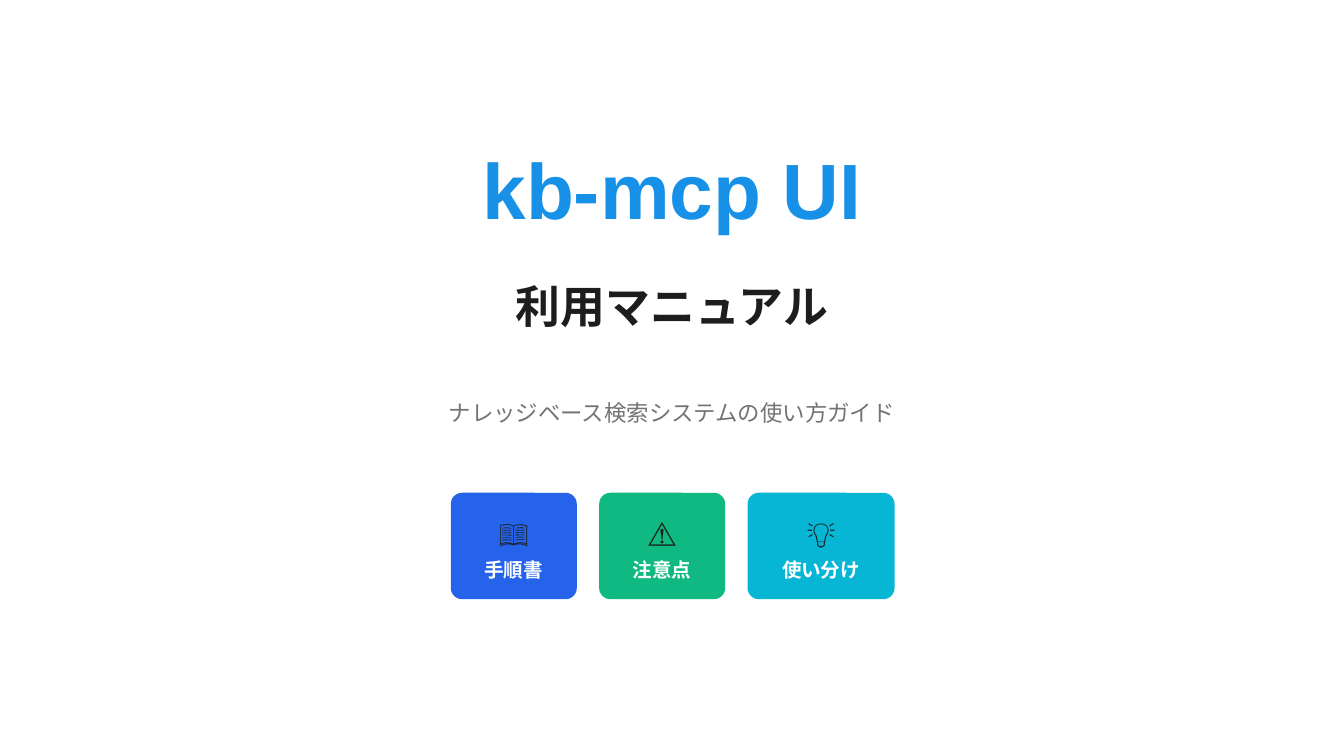
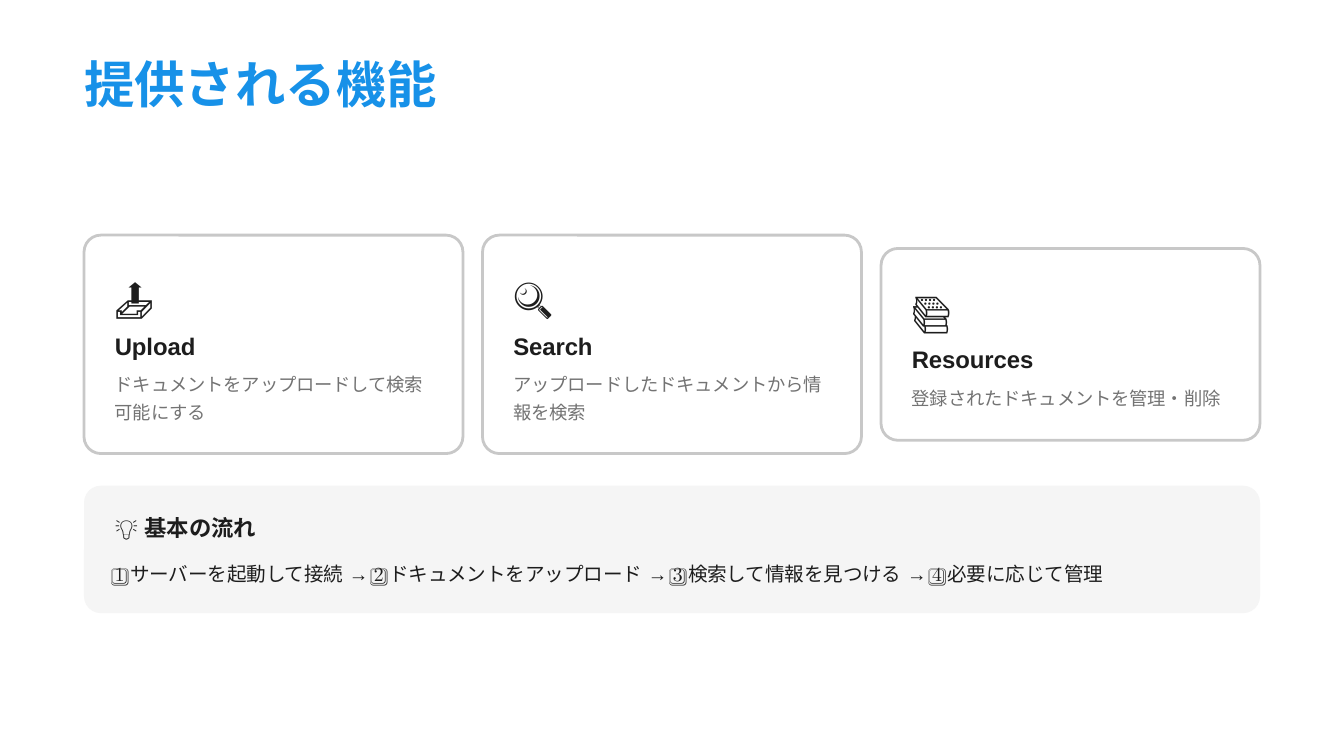
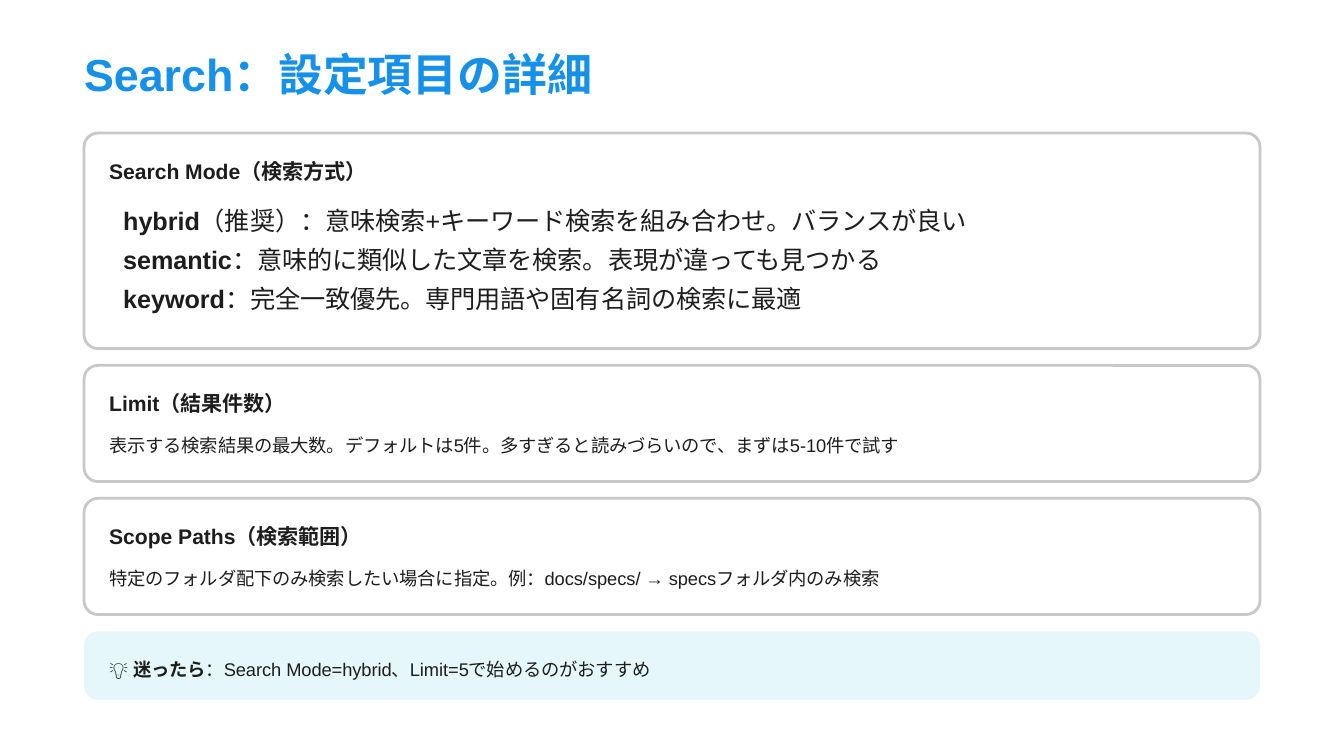
import pptx
import pptx.util
import pptx.dml.color
import pptx.enum.shapes
import pptx.enum.text
import pptx.oxml.ns
import lxml.etree

COLORS = {
    "title": "1791E8", "ink": "1D1D1D", "muted": "737373", "white": "FFFFFF",
    "border": "C8C8C8", "panel": "F5F5F5",
    "blue": "2563EB", "green": "10B981", "cyan": "06B6D4",
}
FONT = "Arial"
PX = 9525
LEFT, CONTENT_W = 60, 840

STYLES = {
    "cover": dict(size=42, line=42, color="title", bold=True, center=True),
    "subtitle": dict(size=24, line=31.2, bold=True, center=True),
    "caption": dict(size=12, line=16.8, before=12, color="muted", center=True),
    "badge_icon": dict(size=15, line=21, center=True),
    "badge_label": dict(size=10.5, line=14.7, color="white", bold=True, center=True),
    "title": dict(size=27, line=27, after=18, color="title", bold=True),
    "small_title": dict(size=24, line=24, after=13.5, color="title", bold=True),
    "card_icon": dict(size=21, line=29.4, after=6),
    "card_name": dict(size=12.75, line=15.3, after=4.5, bold=True),
    "card_text": dict(size=9.75, line=14.6, color="muted"),
    "flow_title": dict(size=12, line=14.4, after=7.5, bold=True),
    "flow": dict(size=10.5, line=16.8),
    "setting_name": dict(size=11.25, line=13.5, after=6, bold=True),
    "setting_text": dict(size=9.75, line=15.6),
    "mode": dict(size=13.5, line=21),
}

COVER = {
    "title": "kb-mcp UI",
    "subtitle": "利用マニュアル",
    "caption": "ナレッジベース検索システムの使い方ガイド",
    "badges": [("📖", "手順書", "blue", 90), ("⚠️", "注意点", "green", 90),
               ("💡", "使い分け", "cyan", 105)],
}
FEATURES = {
    "title": "提供される機能",
    "cards": [
        ("📤", "Upload", "ドキュメントをアップロードして検索可能にする", 156),
        ("🔍", "Search", "アップロードしたドキュメントから情報を検索", 156),
        ("📚", "Resources", "登録されたドキュメントを管理・削除", 137),
    ],
    "flow_title": "💡 基本の流れ",
    "flow": ["1️⃣ サーバーを起動して接続", "2️⃣ ドキュメントをアップロード",
             "3️⃣ 検索して情報を見つける", "4️⃣ 必要に応じて管理"],
}
SETTINGS = {
    "title": "Search：設定項目の詳細",
    "modes": [
        ("hybrid", "（推奨）：意味検索+キーワード検索を組み合わせ。バランスが良い"),
        ("semantic", "：意味的に類似した文章を検索。表現が違っても見つかる"),
        ("keyword", "：完全一致優先。専門用語や固有名詞の検索に最適"),
    ],
    "boxes": [
        ("Search Mode（検索方式）", None, 154),
        ("Limit（結果件数）",
         "表示する検索結果の最大数。デフォルトは5件。多すぎると読みづらいので、まずは5-10件で試す", 83),
        ("Scope Paths（検索範囲）",
         "特定のフォルダ配下のみ検索したい場合に指定。例：docs/specs/ → specsフォルダ内のみ検索", 83),
    ],
    "tip": [("💡 ", False), ("迷ったら", True),
            ("：Search Mode=hybrid、Limit=5で始めるのがおすすめ", False)],
}


def px(n):
    return pptx.util.Emu(round(n * PX))


def rgb(name):
    return pptx.dml.color.RGBColor.from_string(COLORS[name])


def add_run(p, text, style, bold):
    r = p.add_run()
    r.text = text
    r.font.name = FONT
    r.font.size = pptx.util.Pt(style["size"])
    r.font.bold = bold
    r.font.color.rgb = rgb(style.get("color", "ink"))
    ea = lxml.etree.SubElement(r._r.get_or_add_rPr(), pptx.oxml.ns.qn("a:ea"))
    ea.set("typeface", FONT)


def write(sp, box, style_name, *paragraphs):
    style = STYLES[style_name]
    align = pptx.enum.text.PP_ALIGN
    sp.left, sp.top, sp.width, sp.height = map(px, box)
    tf = sp.text_frame
    tf.word_wrap = True
    tf.auto_size = pptx.enum.text.MSO_AUTO_SIZE.NONE
    tf.vertical_anchor = pptx.enum.text.MSO_ANCHOR.TOP
    tf.margin_left = tf.margin_top = tf.margin_right = tf.margin_bottom = 0
    for i, runs in enumerate(paragraphs):
        p = tf.add_paragraph() if i else tf.paragraphs[0]
        p.alignment = align.CENTER if style.get("center") else align.LEFT
        p.line_spacing = pptx.util.Pt(style["line"])
        p.space_before = pptx.util.Pt(style.get("before", 0))
        p.space_after = pptx.util.Pt(style.get("after", 0))
        if isinstance(runs, str):
            runs = [(runs, style.get("bold", False))]
        for text, bold in runs:
            add_run(p, text, style, bold)
    return tf


def add_text(s, box, style_name, *paragraphs):
    return write(s.shapes.add_textbox(0, 0, 0, 0), box, style_name, *paragraphs)


def add_round(s, box, radius, fill, line=None, opacity=None):
    kind = pptx.enum.shapes.MSO_SHAPE.ROUNDED_RECTANGLE
    sp = s.shapes.add_shape(kind, *map(px, box))
    sp.adjustments[0] = radius / min(box[2:])
    sp.shadow.inherit = False
    sp.fill.solid()
    sp.fill.fore_color.rgb = rgb(fill)
    if opacity:
        clr = sp._element.spPr.find(".//" + pptx.oxml.ns.qn("a:srgbClr"))
        alpha = lxml.etree.SubElement(clr, pptx.oxml.ns.qn("a:alpha"))
        alpha.set("val", str(opacity * 1000))
    if line:
        sp.line.color.rgb = rgb(line)
        sp.line.width = pptx.util.Pt(1.5)
    else:
        sp.line.fill.background()


def build_cover(prs):
    s = prs.slides.add_slide(prs.slide_layouts[0])
    write(s.shapes.title, (342, 112, 276, 56), "cover", COVER["title"])
    write(s.placeholders[1], (364, 196, 232, 41), "subtitle", COVER["subtitle"])
    add_text(s, (314, 282, 332, 22), "caption", COVER["caption"])
    x, y, gap, icon_w, pad = 322, 352, 16, 26, 23
    for icon, label, color, w in COVER["badges"]:
        add_round(s, (x, y, w, 76), 8, color)
        add_text(s, (x + (w - icon_w) / 2, y + 12, icon_w, 28), "badge_icon", icon)
        add_text(s, (x + pad, y + 44, w - 2 * pad, 19), "badge_label", label)
        x += w + gap


def build_features(prs):
    s = prs.slides.add_slide(prs.slide_layouts[5])
    write(s.shapes.title, (LEFT, 45, 429, 36), "title", FEATURES["title"])
    gap, pad, middle = 14, 22, 246
    cards = FEATURES["cards"]
    w = (CONTENT_W - gap * (len(cards) - 1)) / len(cards)
    for i, (icon, name, text, h) in enumerate(cards):
        x, y = LEFT + i * (w + gap), middle - h / 2
        add_round(s, (x, y, w, h), 12, "white", "border")
        rows = (("card_icon", icon, 22, 39), ("card_name", name, 69, 20),
                ("card_text", text, 95, h - 117))
        for style, content, dy, row_h in rows:
            add_text(s, (x + pad, y + dy, 231, row_h), style, content)
    add_round(s, (LEFT, 347, CONTENT_W, 91), 12, "panel")
    add_text(s, (LEFT + pad, 367, 812, 19), "flow_title", FEATURES["flow_title"])
    add_text(s, (LEFT + pad, 396, 812, 22), "flow", " → ".join(FEATURES["flow"]))


def build_settings(prs):
    s = prs.slides.add_slide(prs.slide_layouts[1])
    write(s.shapes.title, (LEFT, 40, 429, 32), "small_title", SETTINGS["title"])
    y, gap, x, text_w, indent = 95, 12, LEFT + 18, 820, 10
    body = s.placeholders[1]
    for name, text, h in SETTINGS["boxes"]:
        add_round(s, (LEFT, y, CONTENT_W, h), 10, "white", "border")
        add_text(s, (x, y + 18, text_w, 18), "setting_name", name)
        if text:
            add_text(s, (x, y + 44, text_w, 21), "setting_text", text)
        else:
            modes = [[(mode, True), (note, False)] for mode, note in SETTINGS["modes"]]
            tf = write(body, (x, y + 45, 804, 92), "mode", *modes)
            tf.margin_left = px(indent)
            for p in tf.paragraphs:
                pPr = p._p.get_or_add_pPr()
                pPr.set("marL", str(px(indent)))
                pPr.set("indent", str(-px(indent)))
                lxml.etree.SubElement(pPr, pptx.oxml.ns.qn("a:buNone"))
            s.shapes._spTree.append(body._element)
        y += h + gap
    add_round(s, (LEFT, y, CONTENT_W, 49), 10, "cyan", opacity=10)
    add_text(s, (x, y + 14, text_w, 21), "setting_text", SETTINGS["tip"])


def main():
    prs = pptx.Presentation()
    prs.slide_width, prs.slide_height = px(960), px(540)
    build_cover(prs)
    build_features(prs)
    build_settings(prs)
    prs.save("out.pptx")


if __name__ == "__main__":
    main()
